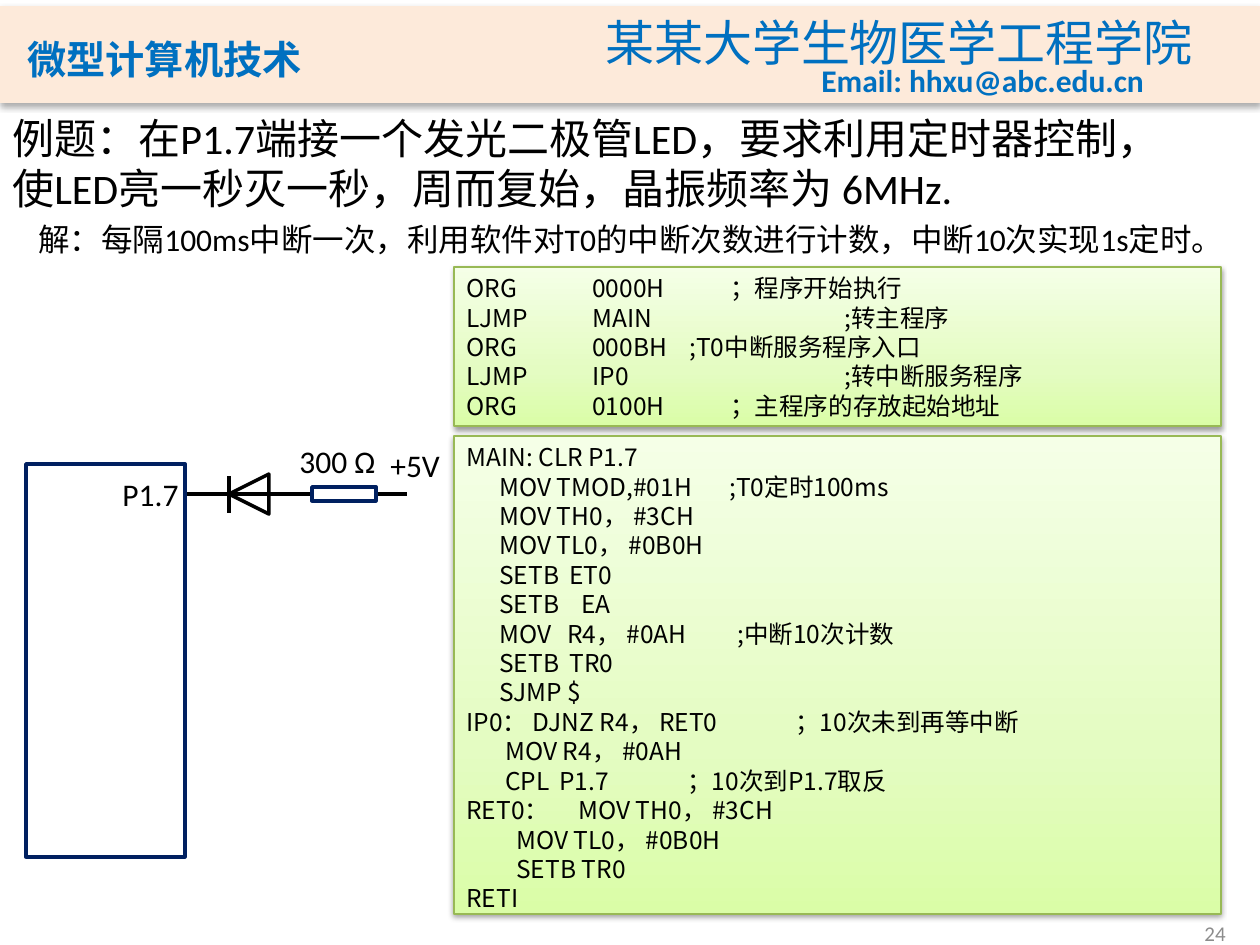
"""Builds the timer interrupt example slide with its LED circuit and assembly code."""
from lxml import etree
from pptx import Presentation
from pptx.dml.color import RGBColor
from pptx.enum import shapes, text
from pptx.oxml import parse_xml
from pptx.oxml.ns import nsdecls, qn
from pptx.util import Emu, Pt

PX = 914400 / 126
CJK = "Noto Sans CJK SC"
rgb = RGBColor.from_string


def emu(*lengths):
    return [Emu(round(n * PX)) for n in lengths]


def write(sp, lines, size, color="000000", font="Calibri", ea=CJK, bold=False,
          wrap=True, align=None, anchor=text.MSO_ANCHOR.TOP):
    tf = sp.text_frame
    tf.word_wrap = wrap
    tf.vertical_anchor = anchor
    for i, (line, stops) in enumerate(lines):
        p = tf.paragraphs[0] if i == 0 else tf.add_paragraph()
        p.alignment = align or text.PP_ALIGN.LEFT
        p.line_spacing = Pt(size * 1.2)
        if stops:
            tabs = etree.SubElement(p._p.get_or_add_pPr(), qn("a:tabLst"))
            for stop in stops:
                etree.SubElement(tabs, qn("a:tab"), pos=str(round(stop * PX)), algn="l")
        r = p.add_run()
        r.text = line
        r.font.size = Pt(size)
        r.font.bold = bold
        r.font.name = font
        r.font.color.rgb = rgb(color)
        etree.SubElement(r._r.get_or_add_rPr(), qn("a:ea"), typeface=ea)
    return tf


prs = Presentation()
prs.slide_width, prs.slide_height = emu(1260, 945)
s = prs.slides.add_slide(prs.slide_layouts[6])
add_shape, add_box = s.shapes.add_shape, s.shapes.add_textbox
RECT = shapes.MSO_SHAPE.RECTANGLE

panels = []
for box, alpha, blur, dist in [
    ((0, 6, 1260, 97), 32, 3.5, 2.2),
    ((454, 267, 767, 159), 38, 3.1, 1.6),
    ((454, 436, 767, 478), 38, 3.1, 1.6),
]:
    sp = add_shape(RECT, *emu(*box))
    sp.shadow.inherit = False
    sp._element.spPr.find(qn("a:effectLst")).append(parse_xml(
        f'<a:outerShdw {nsdecls("a")} blurRad="{Pt(blur)}" dist="{Pt(dist)}" '
        f'dir="5400000" rotWithShape="0"><a:srgbClr val="000000">'
        f'<a:alpha val="{alpha * 1000}"/></a:srgbClr></a:outerShdw>'))
    panels.append(sp)

header, vectors, program = panels
header.fill.solid()
header.fill.fore_color.rgb = rgb("FDEADA")
header.line.fill.background()

stops = "".join(f'<a:gs pos="{pos}000"><a:srgbClr val="{color}"/></a:gs>'
                for pos, color in [(0, "DAFDA7"), (35, "E4FCC2"), (100, "F5FFE7")])
for sp in (vectors, program):
    sp.fill.gradient()
    spPr = sp._element.spPr
    spPr.replace(spPr.find(qn("a:gradFill")), parse_xml(
        f'<a:gradFill {nsdecls("a")} rotWithShape="1"><a:gsLst>{stops}</a:gsLst>'
        '<a:lin ang="16200000" scaled="0"/></a:gradFill>'))
    sp.line.color.rgb = rgb("98B955")
    sp.line.width = Pt(0.75)

write(vectors, [
    ("ORG\t0000H\t；程序开始执行", (126, 264)),
    ("LJMP\tMAIN\t;转主程序", (126, 378)),
    ("ORG\t000BH\t;T0中断服务程序入口", (126, 223)),
    ("LJMP\tIP0\t;转中断服务程序", (126, 378)),
    ("ORG\t0100H\t；主程序的存放起始地址", (126, 264)),
], 14, font=CJK)
write(program, [
    ("MAIN: CLR P1.7", ()),
    ("\tMOV TMOD,#01H\t;T0定时100ms", (33, 263)),
    ("\tMOV TH0， #3CH", (33,)),
    ("\tMOV TL0， #0B0H", (33,)),
    ("\tSETB\tET0", (33, 103)),
    ("\tSETB\tEA", (33, 115)),
    ("\tMOV\tR4， #0AH\t;中断10次计数", (33, 101, 271)),
    ("\tSETB\tTR0", (33, 103)),
    ("\tSJMP $", (33,)),
    ("IP0： DJNZ R4， RET0\t；10次未到再等中断", (329,)),
    ("\tMOV R4， #0AH", (39,)),
    ("\tCPL\tP1.7\t；10次到P1.7取反", (39, 93, 221)),
    ("RET0：\tMOV TH0， #3CH", (112,)),
    ("\tMOV TL0， #0B0H", (50,)),
    ("\tSETB TR0", (50,)),
    ("RETI", ()),
], 14, font=CJK)

BLUE = "0070C0"
JP = "Noto Sans CJK JP"
tf = write(add_box(*emu(15, 20, 427, 71)), [("微型计算机技术", ())], 28, BLUE, JP, JP,
           bold=True, anchor=text.MSO_ANCHOR.BOTTOM)
tf.paragraphs[0].runs[0].font._element.set("cap", "small")
write(add_box(*emu(593, 6, 640, 72)), [("某某大学生物医学工程学院", ())], 28, BLUE, CJK)
write(add_box(*emu(809, 55, 420, 50)), [("Email: hhxu@abc.edu.cn", ())], 18, BLUE,
      bold=True)
write(add_box(*emu(0, 106, 1134, 129)), [(
    "例题：在P1.7端接一个发光二极管LED，要求利用定时器控制，使LED亮一秒灭一秒，"
    "周而复始，晶振频率为 6MHz.", ())], 24)
write(add_box(*emu(26, 214, 1212, 50)), [(
    "解：每隔100ms中断一次，利用软件对T0的中断次数进行计数，中断10次实现1s定时。",
    ())], 18)
write(add_box(*emu(944, 908, 294, 50)), [("24", ())], 12, "8C8C8C",
      align=text.PP_ALIGN.RIGHT, anchor=text.MSO_ANCHOR.MIDDLE)

for x1, y1, x2, y2 in [(185, 494, 312, 494), (376, 494, 407, 494), (229, 513, 229, 476)]:
    wire = s.shapes.add_connector(shapes.MSO_CONNECTOR.STRAIGHT, *emu(x1, y1, x2, y2))
    wire.line.color.rgb = rgb("000000")
    wire.line.width = Pt(2.25)
    etree.SubElement(wire._element.spPr, qn("a:effectLst"))

for kind, box, fill, line, turn in [
    (RECT, (26, 464, 159, 393), "FFFFFF", "002060", 0),
    (RECT, (312, 487, 64, 14), "FFFFFF", "002060", 0),
    (shapes.MSO_SHAPE.ISOSCELES_TRIANGLE, (229, 474, 40, 40), None, "000000", 270),
]:
    sp = add_shape(kind, *emu(*box))
    sp.shadow.inherit = False
    sp.rotation = turn
    if fill:
        sp.fill.solid()
        sp.fill.fore_color.rgb = rgb(fill)
    else:
        sp.fill.background()
    sp.line.color.rgb = rgb(line)
    sp.line.width = Pt(2)

for label, x, y, w in [("P1.7", 110, 469, 82), ("+5V", 378, 440, 76), ("300 Ω", 287, 436, 102)]:
    write(add_box(*emu(x, y, w, 50)), [(label, ())], 18, wrap=False)

prs.save("out.pptx")
